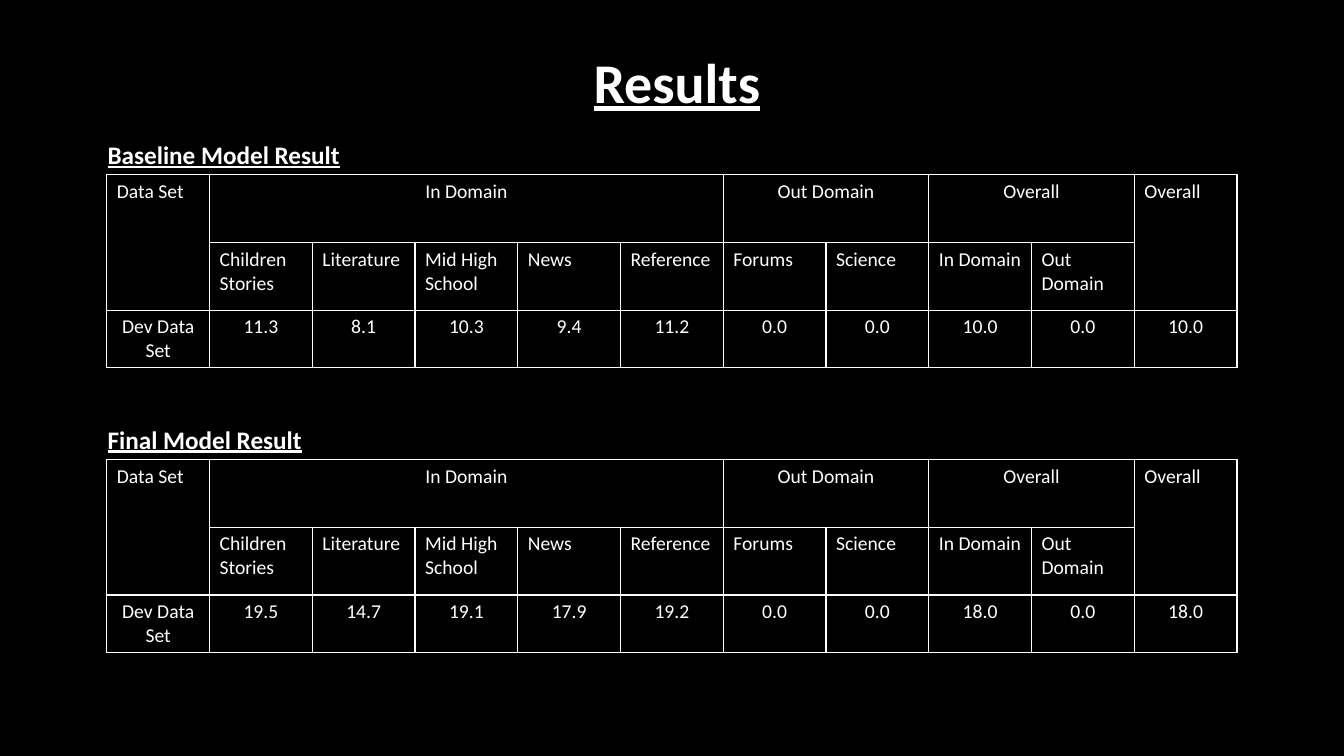
"""Build the results slide: a title and two captioned score tables."""
from dataclasses import dataclass

from lxml import etree
from pptx import Presentation
from pptx.dml.color import RGBColor
from pptx.enum.text import MSO_ANCHOR, MSO_AUTO_SIZE, PP_ALIGN
from pptx.oxml.ns import qn
from pptx.slide import Slide
from pptx.table import _Cell
from pptx.text.text import TextFrame
from pptx.util import Pt

LEFT, CENTER = PP_ALIGN.LEFT, PP_ALIGN.CENTER
TOP = MSO_ANCHOR.TOP
GROW = MSO_AUTO_SIZE.SHAPE_TO_FIT_TEXT
COLORS = {"background": "000000", "ink": "FFFFFF"}
FONT = "Calibri"
TABLE_LEFT = 76.3
COLUMN_WIDTH = 73.4
ROW_HEIGHTS = (48.4, 48.4, 41)
CAPTION_LEFT, CAPTION_RISE = 69.8, 29


@dataclass(frozen=True)
class Header:
    text: str
    row: int
    column: int
    row_span: int = 1
    column_span: int = 1


@dataclass(frozen=True)
class ResultTable:
    caption: str
    top: float
    scores: tuple[str, ...]


GROUPS = (
    Header("Data Set", 0, 0, row_span=2),
    Header("In Domain", 0, 1, column_span=5),
    Header("Out Domain", 0, 6, column_span=2),
    Header("Overall", 0, 8, column_span=2),
    Header("Overall", 0, 10, row_span=2),
)
SUBSETS = ("Children Stories", "Literature", "Mid High School", "News", "Reference",
           "Forums", "Science", "In Domain", "Out Domain")
HEADERS = GROUPS + tuple(Header(name, 1, column) for column, name in enumerate(SUBSETS, 1))
RESULTS = (
    ResultTable("Baseline Model Result", 124.8,
                ("11.3", "8.1", "10.3", "9.4", "11.2", "0.0", "0.0", "10.0", "0.0", "10.0")),
    ResultTable("Final Model Result", 328.2,
                ("19.5", "14.7", "19.1", "17.9", "19.2", "0.0", "0.0", "18.0", "0.0", "18.0")),
)


def write(frame: TextFrame, text: str, *, size: float, heading: bool = False,
          align: PP_ALIGN = LEFT) -> None:
    para = frame.paragraphs[0]
    para.alignment = align
    span = para.add_run()
    span.text = text
    span.font.name = FONT
    span.font.size = Pt(size)
    span.font.bold = heading
    span.font.underline = heading
    span.font.color.rgb = RGBColor.from_string(COLORS["ink"])


def add_heading(page: Slide, text: str, left: float, top: float, width: float,
                height: float, *, size: float, wrap: bool = True) -> None:
    box = page.shapes.add_textbox(Pt(left), Pt(top), Pt(width), Pt(height))
    box.text_frame.word_wrap = wrap
    box.text_frame.auto_size = GROW
    write(box.text_frame, text, size=size, heading=True)


def outline(cell: _Cell) -> None:
    cell.fill.background()
    properties = cell._tc.get_or_add_tcPr()
    for position, side in enumerate(("a:lnL", "a:lnR", "a:lnT", "a:lnB")):
        line = etree.Element(qn(side), w=str(Pt(1)))
        fill = etree.SubElement(line, qn("a:solidFill"))
        etree.SubElement(fill, qn("a:srgbClr"), val=COLORS["ink"])
        properties.insert(position, line)


def add_result(page: Slide, result: ResultTable) -> None:
    add_heading(page, result.caption, CAPTION_LEFT, result.top - CAPTION_RISE, 389.5, 29, size=18)
    columns = len(result.scores) + 1
    table = page.shapes.add_table(
        len(ROW_HEIGHTS), columns, Pt(TABLE_LEFT), Pt(result.top),
        Pt(COLUMN_WIDTH * columns), Pt(sum(ROW_HEIGHTS))).table
    table.first_row = False
    table.horz_banding = False
    for column in table.columns:
        column.width = Pt(COLUMN_WIDTH)
    for row, height in zip(table.rows, ROW_HEIGHTS):
        row.height = Pt(height)
    for cell in table.iter_cells():
        cell.vertical_anchor = TOP
        outline(cell)
    for header in HEADERS:
        cell = table.cell(header.row, header.column)
        if header.row_span > 1 or header.column_span > 1:
            cell.merge(table.cell(header.row + header.row_span - 1,
                                  header.column + header.column_span - 1))
        align = CENTER if header.column_span > 1 else LEFT
        write(cell.text_frame, header.text, size=14, align=align)
    for column, text in enumerate(("Dev Data Set", *result.scores)):
        write(table.cell(2, column).text_frame, text, size=14, align=CENTER)


def main() -> None:
    deck = Presentation()
    deck.slide_width, deck.slide_height = Pt(960), Pt(540)
    page = deck.slides.add_slide(deck.slide_layouts[6])
    page.background.fill.solid()
    page.background.fill.fore_color.rgb = RGBColor.from_string(COLORS["background"])
    add_heading(page, "Results", 416.9, 30.2, 143.3, 57.6, size=40, wrap=False)
    for result in RESULTS:
        add_result(page, result)
    deck.save("out.pptx")


if __name__ == "__main__":
    main()
